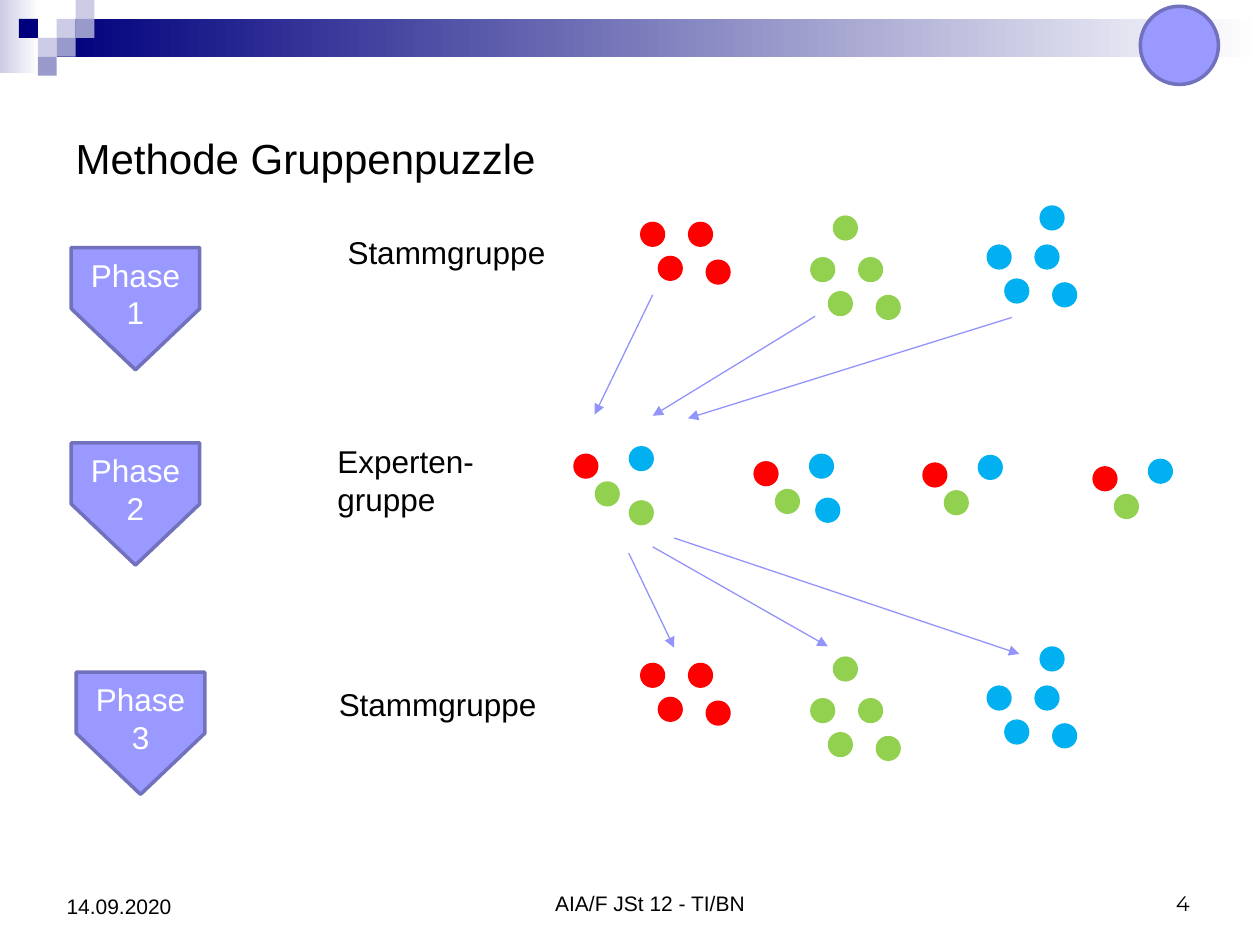
from typing import NamedTuple

from lxml import etree
from pptx import Presentation
from pptx.dml.color import RGBColor
from pptx.enum.shapes import MSO_CONNECTOR, MSO_SHAPE
from pptx.enum.text import MSO_ANCHOR, PP_ALIGN
from pptx.oxml.ns import qn
from pptx.util import Inches, Pt

RECT, OVAL, PLATE = MSO_SHAPE.RECTANGLE, MSO_SHAPE.OVAL, MSO_SHAPE.PENTAGON
LINE = MSO_CONNECTOR.STRAIGHT
LEFT, MID, RIGHT = PP_ALIGN.LEFT, PP_ALIGN.CENTER, PP_ALIGN.RIGHT
TOP, CENTER, BASE = MSO_ANCHOR.TOP, MSO_ANCHOR.MIDDLE, MSO_ANCHOR.BOTTOM

COLORS = {
    "navy": "00007D", "pale": "CCCCE6", "mauve": "9999CC", "violet": "9999FF",
    "edge": "7171BD", "arrow": "9393FC", "white": "FFFFFF", "black": "000000",
    "red": "FF0000", "green": "92D050", "blue": "00B0F0",
}
CELL = 0.15
DOT = 0.2
SHIFT = 3.5


class Box(NamedTuple):
    x: float
    y: float
    w: float
    h: float


class Tile(NamedTuple):
    col: int
    row: int
    color: str


class Dot(NamedTuple):
    dx: float
    dy: float
    color: str


class Group(NamedTuple):
    x: float
    y: float
    dots: list[Dot]


class Arrow(NamedTuple):
    x1: float
    y1: float
    x2: float
    y2: float


class Label(NamedTuple):
    text: str
    box: Box
    size: int = 18
    align: PP_ALIGN = LEFT
    anchor: MSO_ANCHOR = TOP
    wrap: bool = False
    color: str = "black"
    font: str = "Arial"


class Phase(NamedTuple):
    num: int
    x: float
    y: float


def home(color: str, *extra: tuple[float, float]) -> list[Dot]:
    spots = [(0, 0), (0.38, 0), (0.14, 0.27), (0.52, 0.3), *extra]
    return [Dot(dx, dy, color) for dx, dy in spots]


def expert(*extra: Dot) -> list[Dot]:
    return [Dot(0, 0, "red"), Dot(0.17, 0.22, "green"),
            Dot(0.44, -0.06, "blue"), *extra]


TILES = [
    Tile(3, 1, "pale"), Tile(4, 0, "pale"), Tile(4, 1, "mauve"),
    Tile(2, 2, "pale"), Tile(1, 1, "navy"), Tile(3, 2, "mauve"),
    Tile(2, 3, "mauve"),
]
HOMES = [
    Group(5.08, 1.76, home("red")),
    Group(6.43, 2.04, home("green", (0.18, -0.33))),
    Group(7.83, 1.94, home("blue", (0.42, -0.31))),
]
EXPERTS = [
    Group(4.55, 3.6, expert(Dot(0.44, 0.37, "green"))),
    Group(5.98, 3.66, expert(Dot(0.49, 0.29, "blue"))),
    Group(7.32, 3.67, expert()),
    Group(8.67, 3.7, expert()),
]
ARROWS = [
    Arrow(5.18, 2.34, 4.72, 3.29), Arrow(6.47, 2.51, 5.18, 3.3),
    Arrow(8.03, 2.52, 5.46, 3.32), Arrow(4.99, 4.39, 5.35, 5.14),
    Arrow(5.18, 4.34, 6.57, 5.13), Arrow(5.35, 4.27, 8.09, 5.19),
]
LABELS = [
    Label("AIA/F JSt 12 - TI/BN", Box(1.93, 6.82, 6.46, 0.5), 12, MID, BASE, True),
    Label("4", Box(8.39, 6.82, 1.15, 0.5), 12, RIGHT, BASE, True, font="Montserrat"),
    Label("14.09.2020", Box(0.43, 6.82, 1.5, 0.52), 12, LEFT, BASE, True),
    Label("Stammgruppe", Box(2.66, 1.8, 1.79, 0.4)),
    Label("Stammgruppe", Box(2.59, 5.39, 1.79, 0.4)),
    Label("Experten-\ngruppe", Box(2.58, 3.46, 1.3, 0.71)),
]
PHASES = [Phase(1, 0.59, 1.94), Phase(2, 0.59, 3.49), Phase(3, 0.63, 5.31)]


def tint(name: str) -> RGBColor:
    return RGBColor.from_string(COLORS[name])


def frame(box: Box) -> list[int]:
    return [Inches(side) for side in box]


def draw(kind: MSO_SHAPE, box: Box, color: str, edge: str = ""):
    shape = slide.shapes.add_shape(kind, *frame(box))
    shape.shadow.inherit = False
    shape.fill.solid()
    shape.fill.fore_color.rgb = tint(color)
    if edge:
        shape.line.color.rgb = tint(edge)
        shape.line.width = Pt(2)
    else:
        shape.line.fill.background()
    return shape


def fade(box: Box, color: str) -> None:
    fill = draw(RECT, box, color).fill
    fill.gradient()
    fill.gradient_angle = 0
    for stop, name in zip(fill.gradient_stops, (color, "white")):
        stop.color.rgb = tint(name)


def write(shape, label: Label) -> None:
    body = shape.text_frame
    body.text = label.text
    body.word_wrap = label.wrap
    body.vertical_anchor = label.anchor
    for para in body.paragraphs:
        para.alignment = label.align
        para.font.name = label.font
        para.font.size = Pt(label.size)
        para.font.color.rgb = tint(label.color)


def scatter(group: Group, drop: float = 0) -> None:
    for dot in group.dots:
        box = Box(group.x + dot.dx, group.y + dot.dy + drop, DOT, DOT)
        draw(OVAL, box, dot.color)


def point(arrow: Arrow) -> None:
    link = slide.shapes.add_connector(LINE, *[Inches(end) for end in arrow])
    link.line.color.rgb = tint("arrow")
    link.line.width = Pt(0.75)
    props = link.element.spPr
    etree.SubElement(props.find(qn("a:ln")), qn("a:tailEnd"), type="triangle")
    etree.SubElement(props, qn("a:effectLst"))


def step(phase: Phase) -> None:
    box = Box(phase.x, phase.y, 0.97, 1.02)
    shape = draw(PLATE, box, "violet", "edge")
    shape.rotation = 90
    write(shape, Label(f"Phase {phase.num}", box, 18, MID, CENTER, True, "white"))
    shape.text_frame._txBody.bodyPr.set("vert", "vert270")


deck = Presentation()
deck.slide_width, deck.slide_height = Inches(10), Inches(7.5)
slide = deck.slides.add_slide(deck.slide_layouts[5])

fade(Box(0, 0, 0.31, 0.58), "pale")
fade(Box(3 * CELL, CELL, 10 - 3 * CELL, 2 * CELL), "navy")
for tile in TILES:
    draw(RECT, Box(tile.col * CELL, tile.row * CELL, CELL, CELL), tile.color)
draw(OVAL, Box(9.05, 0.05, 0.62, 0.62), "violet", "edge")

title = slide.shapes.title
area = Box(0.5, 0.5, 9, 1.5)
title.left, title.top, title.width, title.height = frame(area)
write(title, Label("Methode Gruppenpuzzle", area, 24, LEFT, CENTER, True))

for group in HOMES:
    scatter(group)
    scatter(group, SHIFT)
for group in EXPERTS:
    scatter(group)
for arrow in ARROWS:
    point(arrow)
for label in LABELS:
    write(slide.shapes.add_textbox(*frame(label.box)), label)
for phase in PHASES:
    step(phase)

deck.save("out.pptx")
